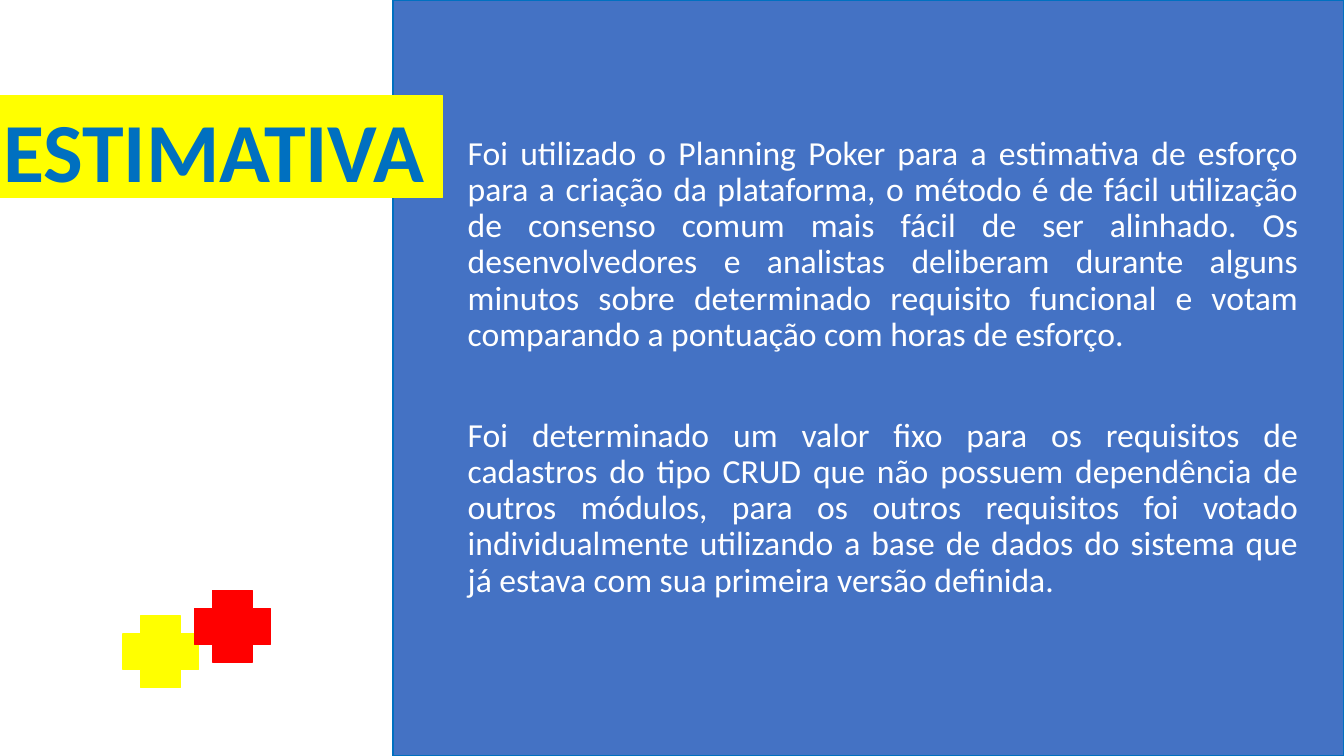
from dataclasses import dataclass

import pptx
import pptx.dml.color
import pptx.enum.shapes
import pptx.enum.text
import pptx.util

Pt = pptx.util.Pt
MSO_SHAPE = pptx.enum.shapes.MSO_SHAPE
PP_ALIGN = pptx.enum.text.PP_ALIGN
MSO_ANCHOR = pptx.enum.text.MSO_ANCHOR

BLUE, DARK_BLUE = "4472C4", "0070C0"
YELLOW, RED, WHITE = "FFFF00", "FF0000", "FFFFFF"


@dataclass
class Box:
    left: float
    top: float
    width: float
    height: float


@dataclass
class Block:
    kind: MSO_SHAPE
    box: Box
    fill: str
    line: str


@dataclass
class TextStyle:
    size: float
    color: str
    bold: bool
    align: PP_ALIGN
    anchor: MSO_ANCHOR
    gap: float = 0


def rgb(color: str) -> pptx.dml.color.RGBColor:
    return pptx.dml.color.RGBColor.from_string(color)


def place(sp, box: Box) -> None:
    sp.left, sp.top = Pt(box.left), Pt(box.top)
    sp.width, sp.height = Pt(box.width), Pt(box.height)


def draw_block(s, block: Block) -> None:
    sp = s.shapes.add_shape(block.kind, 0, 0, 0, 0)
    place(sp, block.box)
    sp.shadow.inherit = False
    sp.fill.solid()
    sp.fill.fore_color.rgb = rgb(block.fill)
    sp.line.color.rgb = rgb(block.line)
    sp.line.width = Pt(1)


def fill_placeholder(sp, box: Box, texts: list[str], style: TextStyle) -> None:
    place(sp, box)
    sp.element.getparent().append(sp.element)  # bring to front
    tf = sp.text_frame
    tf.text = "\n".join(texts)
    tf.word_wrap = True
    tf.auto_size = pptx.enum.text.MSO_AUTO_SIZE.NONE
    tf.vertical_anchor = style.anchor
    for i, p in enumerate(tf.paragraphs):
        p.alignment = style.align
        p.line_spacing = 0.9
        p.space_before = Pt(style.gap if i else 0)
        p.font.name = "Calibri"
        p.font.size = Pt(style.size)
        p.font.bold = style.bold
        p.font.color.rgb = rgb(style.color)


PANELS = [
    Block(MSO_SHAPE.RECTANGLE, Box(280.8, 0, 679.2, 540), BLUE, DARK_BLUE),
    Block(MSO_SHAPE.RECTANGLE, Box(0, 68.4, 316, 72.6), YELLOW, YELLOW),
]
CROSSES = [
    Block(MSO_SHAPE.CROSS, Box(left, top, 54, 51), color, color)
    for left, top, color in [(87.8, 440, YELLOW), (139, 422, RED)]
]
TITLE = TextStyle(60, DARK_BLUE, True, PP_ALIGN.CENTER, MSO_ANCHOR.BOTTOM)
BODY = TextStyle(24, WHITE, False, PP_ALIGN.JUSTIFY, MSO_ANCHOR.TOP, gap=46)
PARAGRAPHS = [
    "Foi utilizado o Planning Poker para a estimativa de esforço para a criação "
    "da plataforma, o método é de fácil utilização de consenso comum mais fácil "
    "de ser alinhado. Os desenvolvedores e analistas deliberam durante alguns "
    "minutos sobre determinado requisito funcional e votam comparando a "
    "pontuação com horas de esforço.",
    "Foi determinado um valor fixo para os requisitos de cadastros do tipo CRUD "
    "que não possuem dependência de outros módulos, para os outros requisitos "
    "foi votado individualmente utilizando a base de dados do sistema que já "
    "estava com sua primeira versão definida.",
]

prs = pptx.Presentation()
prs.slide_width, prs.slide_height = Pt(960), Pt(540)
s = prs.slides.add_slide(prs.slide_layouts[0])

# Background panel and title band
for panel in PANELS:
    draw_block(s, panel)

# Title and body text
fill_placeholder(s.shapes.title, Box(-10.8, 74.2, 326.9, 72.7), ["ESTIMATIVA"], TITLE)
fill_placeholder(s.placeholders[1], Box(326.9, 93.6, 607.7, 436.3), PARAGRAPHS, BODY)

# Decorative crosses
for cross in CROSSES:
    draw_block(s, cross)

prs.save("out.pptx")
